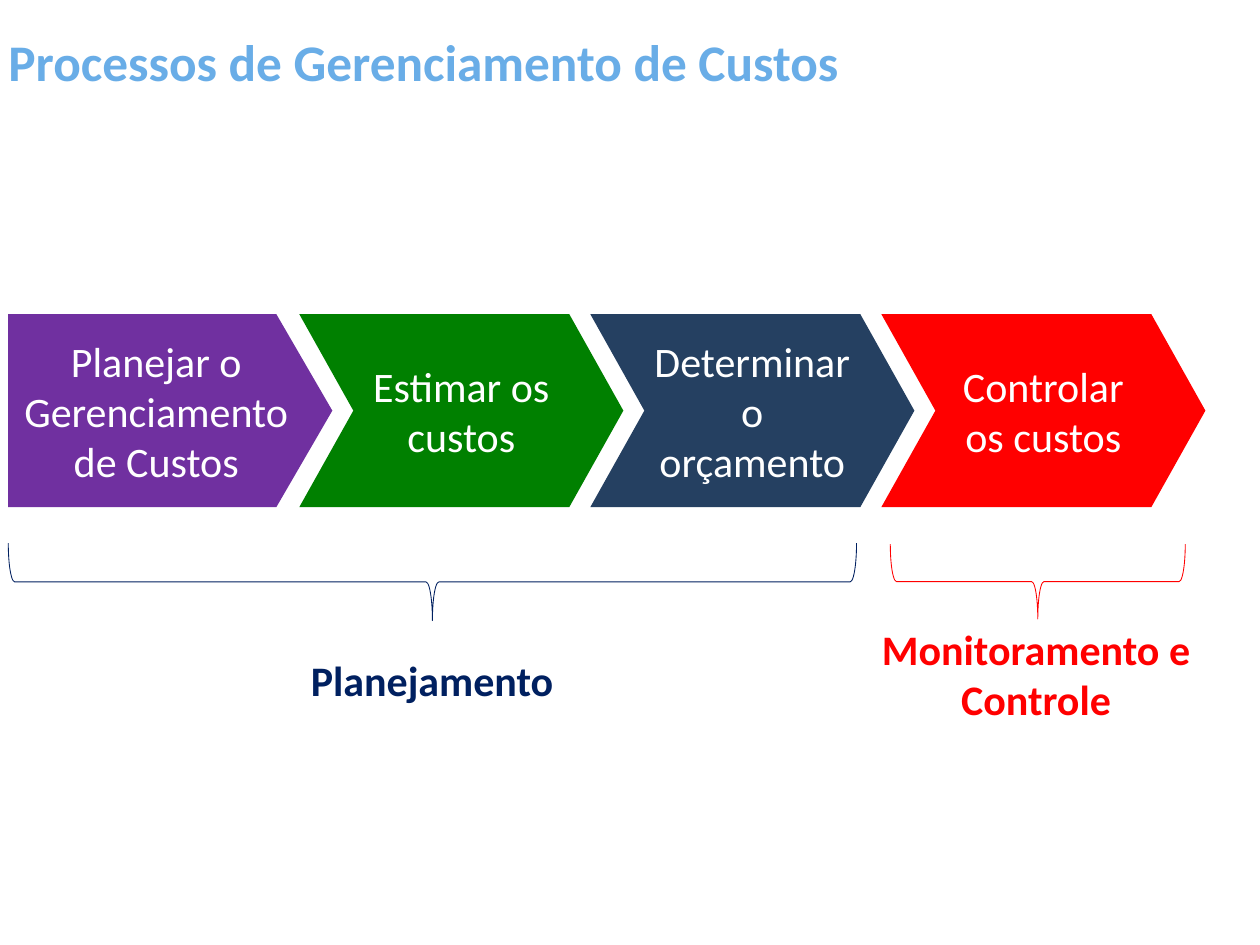
"""Build the slide about cost management processes."""
from dataclasses import dataclass

from pptx import Presentation
from pptx.dml.color import RGBColor
from pptx.enum.shapes import MSO_SHAPE
from pptx.enum.text import MSO_ANCHOR, MSO_AUTO_SIZE, PP_ALIGN
from pptx.util import Cm, Pt


@dataclass(frozen=True)
class Theme:
    """Colours, font and type sizes of the slide."""
    font: str = "Calibri"
    title_size: int = 44
    text_size: int = 36
    title: str = "69ADE7"
    white: str = "FFFFFF"
    purple: str = "7030A0"
    green: str = "008000"
    slate: str = "254061"
    navy: str = "002060"
    red: str = "FF0000"


THEME = Theme()
STEP_LEFT, STEP_TOP, STEP_PITCH = 0.25, 9.5, 8.8
STEP_WIDTH, STEP_HEIGHT = 9.8, 5.84


def write_text(shape, text, *, color, size=THEME.text_size, bold=False,
               align=PP_ALIGN.CENTER, anchor=MSO_ANCHOR.MIDDLE, fit=MSO_AUTO_SIZE.NONE):
    """Write one formatted paragraph into a shape."""
    frame = shape.text_frame
    frame.text = text
    frame.word_wrap = True
    frame.auto_size = fit
    frame.vertical_anchor = anchor
    paragraph = frame.paragraphs[0]
    paragraph.alignment = align
    font = paragraph.runs[0].font
    font.name = THEME.font
    font.size = Pt(size)
    font.bold = bold
    font.color.rgb = RGBColor.from_string(color)


def add_title(slide, text):
    """Place and fill the title placeholder."""
    title = slide.shapes.title
    title.left, title.top, title.width, title.height = Cm(0), Cm(0.79), Cm(27.25), Cm(2.11)
    write_text(title, text, color=THEME.title, size=THEME.title_size, bold=True,
               align=PP_ALIGN.LEFT)


def add_step(slide, index, text, color):
    """Add one process arrow at its place in the row."""
    kind, point = (MSO_SHAPE.CHEVRON, 0.28) if index else (MSO_SHAPE.PENTAGON, 0.29)
    step = slide.shapes.add_shape(kind, Cm(STEP_LEFT + index * STEP_PITCH), Cm(STEP_TOP),
                                  Cm(STEP_WIDTH), Cm(STEP_HEIGHT))
    step.adjustments[0] = point
    step.shadow.inherit = False
    step.fill.solid()
    step.fill.fore_color.rgb = RGBColor.from_string(color)
    step.line.fill.background()
    write_text(step, text, color=THEME.white)


def add_brace(slide, left, top, span, depth, color):
    """Add a brace turned to point down, given by its box as seen."""
    brace = slide.shapes.add_shape(MSO_SHAPE.RIGHT_BRACE, Cm(left + (span - depth) / 2),
                                   Cm(top - (span - depth) / 2), Cm(depth), Cm(span))
    brace.rotation = 90
    brace.shadow.inherit = False
    brace.fill.background()
    brace.line.color.rgb = RGBColor.from_string(color)
    brace.line.width = Pt(0.75)


def add_label(slide, left, top, width, height, text, color):
    """Add the bold name of a process group."""
    label = slide.shapes.add_textbox(Cm(left), Cm(top), Cm(width), Cm(height))
    write_text(label, text, color=color, bold=True, anchor=MSO_ANCHOR.TOP,
               fit=MSO_AUTO_SIZE.SHAPE_TO_FIT_TEXT)


def main():
    """Build and save the presentation."""
    presentation = Presentation()
    presentation.slide_width, presentation.slide_height = Cm(38.1), Cm(28.58)
    slide = presentation.slides.add_slide(presentation.slide_layouts[5])
    add_title(slide, "Processos de Gerenciamento de Custos")

    steps = [
        ("Planejar o Gerenciamento de Custos", THEME.purple),
        ("Estimar os custos", THEME.green),
        ("Determinar o orçamento", THEME.slate),
        ("Controlar os custos", THEME.red),
    ]
    for index, (text, color) in enumerate(steps):
        add_step(slide, index, text, color)

    add_brace(slide, STEP_LEFT, 16.43, 25.65, 2.34, THEME.navy)
    add_brace(slide, 26.92, 16.46, 8.92, 2.26, THEME.red)
    add_label(slide, 8.51, 19.66, 9.12, 1.8, "Planejamento", THEME.navy)
    add_label(slide, 26.21, 18.72, 10.24, 3.33, "Monitoramento e Controle", THEME.red)
    presentation.save("out.pptx")


if __name__ == "__main__":
    main()
